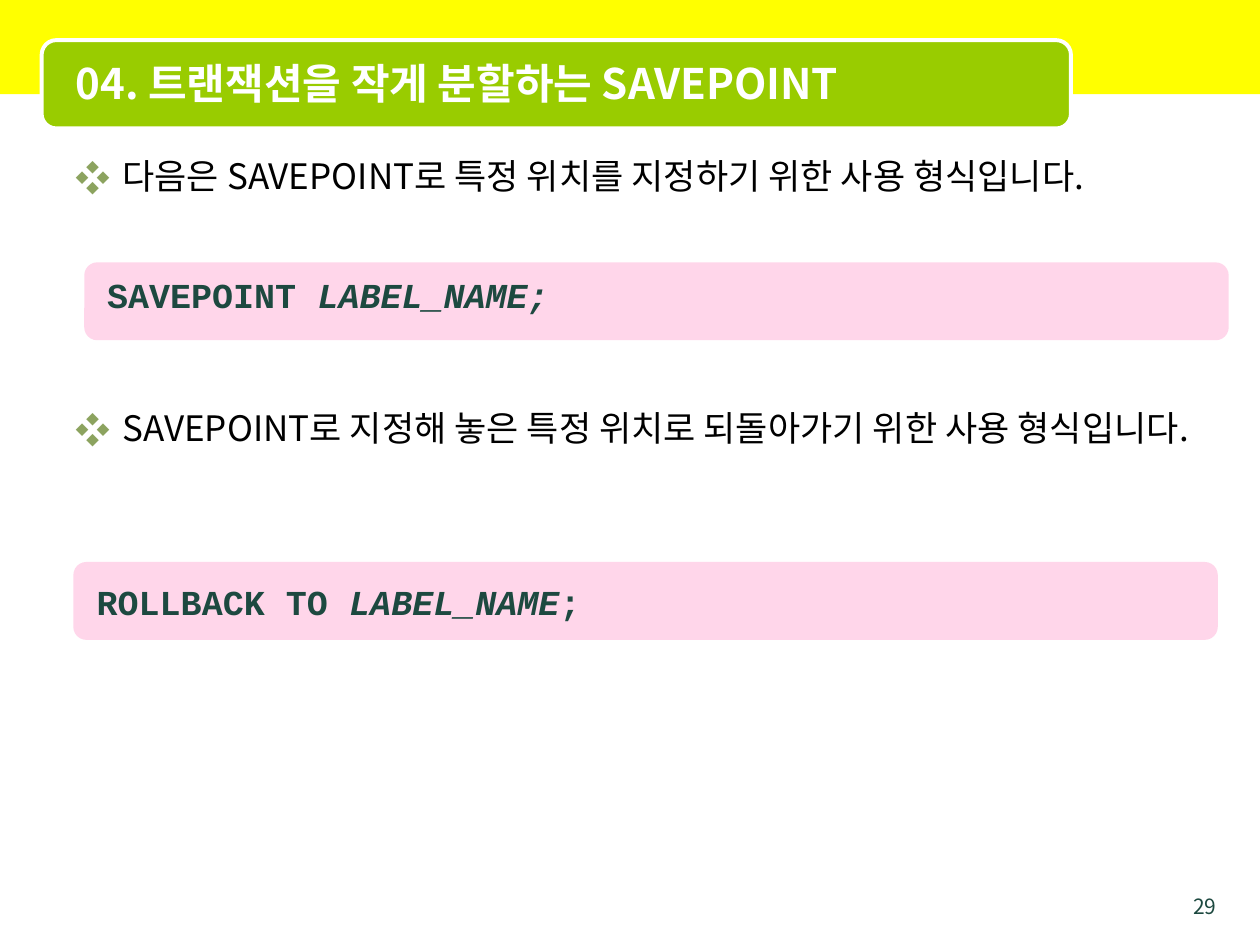
from dataclasses import dataclass

from lxml.etree import SubElement
from pptx import Presentation
from pptx.dml.color import RGBColor
from pptx.enum.shapes import MSO_SHAPE as Shape
from pptx.enum.text import MSO_ANCHOR as Anchor, PP_ALIGN as Align
from pptx.oxml.ns import qn
from pptx.util import Cm, Pt

YELLOW = RGBColor(0xFF, 0xFF, 0x00)
GREEN = RGBColor(0x99, 0xCC, 0x00)
PINK = RGBColor(0xFF, 0x99, 0xCC)
DARK_GREEN = RGBColor(0x1D, 0x49, 0x40)
WHITE = RGBColor(0xFF, 0xFF, 0xFF)
BLACK = RGBColor(0x00, 0x00, 0x00)
BULLET_COLOR = "8CA35F"

KOREAN = "Noto Sans CJK KR"
CODE = "Courier New"


@dataclass
class Box:
    left: float
    top: float
    width: float
    height: float

    def lengths(self):
        return Cm(self.left), Cm(self.top), Cm(self.width), Cm(self.height)


@dataclass
class Syntax:
    """A code line, in (text, italic) tokens, on a pink panel."""
    panel: Box
    label: Box
    tokens: list[tuple[str, bool]]


SYNTAXES = [
    Syntax(Box(1.7, 5.29, 23.07, 1.57), Box(1.91, 5.38, 22.86, 1.12),
           [("SAVEPOINT ", False), ("LABEL_NAME;", True)]),
    Syntax(Box(1.48, 11.33, 23.07, 1.57), Box(1.7, 11.58, 22.86, 1.12),
           [("ROLLBACK TO ", False), ("LABEL_NAME", True), (";", False)]),
]

BULLETS = [
    "다음은 SAVEPOINT로 특정 위치를 지정하기 위한 사용 형식입니다.",
    "SAVEPOINT로 지정해 놓은 특정 위치로 되돌아가기 위한 사용 형식입니다.",
]


def add_text(paragraph, text: str, *, size: float = 20, font: str = KOREAN,
             color: RGBColor = BLACK, bold: bool = False, italic: bool = False):
    run = paragraph.add_run()
    run.text = text
    run.font.size = Pt(size)
    run.font.name = font
    run.font.bold = bold
    run.font.italic = italic
    run.font.color.rgb = color
    SubElement(run.font._element, qn("a:ea"), typeface=font)


def add_panel(slide, shape_type: Shape, box: Box, fill: RGBColor,
              opacity: int = 100):
    panel = slide.shapes.add_shape(shape_type, *box.lengths())
    panel.shadow.inherit = False
    panel.fill.solid()
    panel.fill.fore_color.rgb = fill
    panel.line.fill.background()
    if opacity < 100:
        color = panel._element.spPr.find(qn("a:solidFill"))[0]
        SubElement(color, qn("a:alpha"), val=str(opacity * 1000))
    return panel


def add_frame(slide, box: Box):
    frame = slide.shapes.add_textbox(*box.lengths()).text_frame
    frame.word_wrap = True
    return frame


def add_bullet(paragraph):
    props = paragraph._p.get_or_add_pPr()
    indent = Cm(0.95)
    props.set("marL", str(indent))
    props.set("indent", str(-indent))
    color = SubElement(props, qn("a:buClr"))
    SubElement(color, qn("a:srgbClr"), val=BULLET_COLOR)
    SubElement(props, qn("a:buFont"), typeface=KOREAN)
    SubElement(props, qn("a:buChar"), char="❖")


def add_syntax(slide, syntax: Syntax):
    add_panel(slide, Shape.ROUNDED_RECTANGLE, syntax.panel, PINK, opacity=40)
    line = add_frame(slide, syntax.label).paragraphs[0]
    for text, italic in syntax.tokens:
        add_text(line, text, font=CODE, color=DARK_GREEN, bold=True,
                 italic=italic)


def main():
    deck = Presentation()
    deck.slide_width, deck.slide_height = Cm(25.4), Cm(19.05)
    slide = deck.slides.add_slide(deck.slide_layouts[5])

    # Header band and title plate
    add_panel(slide, Shape.RECTANGLE, Box(0, 0, 25.4, 1.9), YELLOW)
    plate = add_panel(slide, Shape.ROUNDED_RECTANGLE,
                      Box(0.84, 0.81, 20.75, 1.78), GREEN)
    plate.line.color.rgb = WHITE
    plate.line.width = Pt(2.25)

    # Title, brought in front of its plate
    title = slide.shapes.title
    title.left, title.top, title.width, title.height = Box(
        1.27, 0.89, 20.12, 1.57).lengths()
    plate._element.addnext(title._element)
    title.text_frame.vertical_anchor = Anchor.MIDDLE
    heading = title.text_frame.paragraphs[0]
    heading.alignment = Align.LEFT
    add_text(heading, "04. 트랜잭션을 작게 분할하는 SAVEPOINT",
             size=24, color=WHITE, bold=True)

    # Explanations, spaced to leave room for the first code panel
    body = add_frame(slide, Box(1.27, 3, 22.86, 15.6))
    for number, text in enumerate(BULLETS):
        paragraph = body.add_paragraph() if number else body.paragraphs[0]
        paragraph.line_spacing = Pt(24)
        paragraph.space_before = Pt(120 * number)
        add_bullet(paragraph)
        add_text(paragraph, text)

    # Syntax panels
    for syntax in SYNTAXES:
        add_syntax(slide, syntax)

    # Page number
    page = add_frame(slide, Box(23.5, 17.88, 1.27, 0.53)).paragraphs[0]
    page.alignment = Align.RIGHT
    add_text(page, "29", size=12, color=DARK_GREEN)

    deck.save("out.pptx")


if __name__ == "__main__":
    main()
